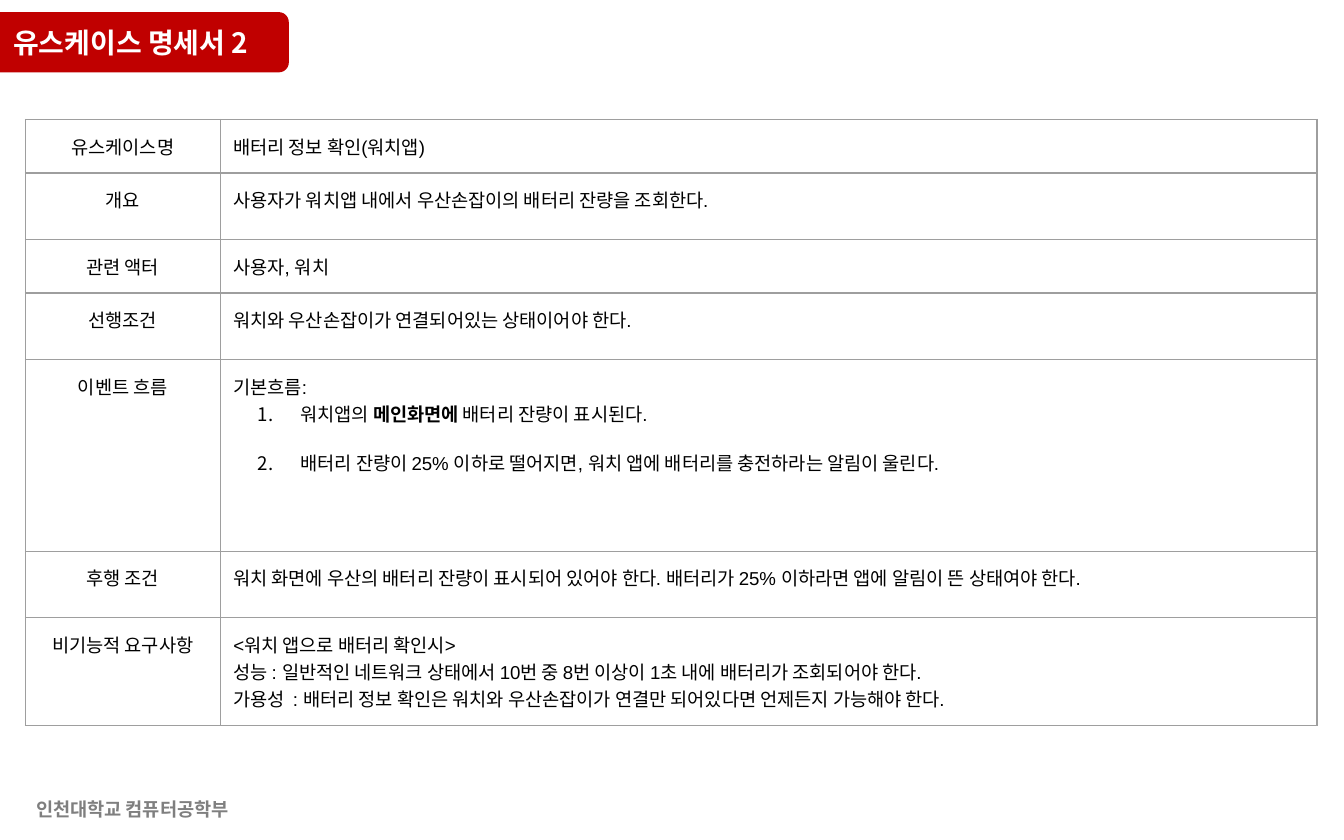
from lxml import etree
from pptx import Presentation
from pptx.dml.color import RGBColor
from pptx.enum import shapes, text
from pptx.oxml import ns
from pptx.util import Cm, Pt

TITLE = "유스케이스 명세서 2"
FOOTER = "인천대학교 컴퓨터공학부"
# Row label, height in cm, lines; a line is a string, a step is a list of (text, bold)
ROWS = [
    ("유스케이스명", 1.01, ["배터리 정보 확인(워치앱)"]),
    ("개요", 1.26, ["사용자가 워치앱 내에서 우산손잡이의 배터리 잔량을 조회한다."]),
    ("관련 액터", 1.01, ["사용자, 워치"]),
    ("선행조건", 1.26, ["워치와 우산손잡이가 연결되어있는 상태이어야 한다."]),
    ("이벤트 흐름", 3.62, [
        "기본흐름:",
        [("워치앱의 ", False), ("메인화면에 ", True), ("배터리 잔량이 표시된다.", False)],
        [("배터리 잔량이 25% 이하로 떨어지면, 워치 앱에 배터리를 충전하라는 알림이 울린다.", False)],
    ]),
    ("후행 조건", 1.26, [
        "워치 화면에 우산의 배터리 잔량이 표시되어 있어야 한다. "
        "배터리가 25% 이하라면 앱에 알림이 뜬 상태여야 한다."]),
    ("비기능적 요구사항", 2.03, [
        "<워치 앱으로 배터리 확인시>",
        "성능 : 일반적인 네트워크 상태에서 10번 중 8번 이상이 1초 내에 배터리가 조회되어야 한다.",
        "가용성  : 배터리 정보 확인은 워치와 우산손잡이가 연결만 되어있다면 언제든지 가능해야 한다.",
    ]),
]
COLS = (3.68, 20.73)
COLORS = {"red": "C00000", "white": "FFFFFF", "black": "000000",
          "gray": "7F7F7F", "rule": "9E9E9E"}
SANS, LATIN = "Noto Sans CJK KR", "Arial"
LEFT, CENTER = text.PP_ALIGN.LEFT, text.PP_ALIGN.CENTER


def rgb(name):
    return RGBColor.from_string(COLORS[name])


def sub(node, tag, **attrs):
    return etree.SubElement(node, ns.qn(tag), attrs)


def write(para, words, size=10, font=LATIN, color="black", bold=False, align=LEFT):
    para.alignment = align
    run = para.add_run()
    run.text = words
    face = run.font
    face.size, face.name, face.bold = Pt(size), font, bold
    face.color.rgb = rgb(color)
    sub(run._r.get_or_add_rPr(), "a:ea", typeface=SANS)


def label(slide, box, words, **style):
    frame = slide.shapes.add_textbox(*map(Cm, box)).text_frame
    frame.word_wrap = True
    frame.vertical_anchor = text.MSO_ANCHOR.MIDDLE
    write(frame.paragraphs[0], words, font=SANS, bold=True, **style)


def number(para):
    props = para._p.get_or_add_pPr()
    props.set("marL", str(Cm(1.27)))
    props.set("indent", str(Cm(-0.81)))
    sub(sub(props, "a:buClr"), "a:srgbClr", val=COLORS["black"])
    sub(props, "a:buFont", typeface=SANS)
    sub(props, "a:buAutoNum", type="arabicPeriod")


def style_cell(cell):
    cell.margin_left = cell.margin_right = Cm(0.25)
    cell.margin_top = cell.margin_bottom = Cm(0.25)
    props = cell._tc.get_or_add_tcPr()
    for side in "LRTB":
        line = sub(props, f"a:ln{side}", w=str(Pt(0.75)))
        sub(sub(line, "a:solidFill"), "a:srgbClr", val=COLORS["rule"])
    cell.fill.solid()
    cell.fill.fore_color.rgb = rgb("white")


def fill_cell(cell, lines, align=LEFT):
    style_cell(cell)
    frame = cell.text_frame
    steps = 0
    for i, line in enumerate(lines):
        para = frame.paragraphs[0] if i == 0 else frame.add_paragraph()
        if isinstance(line, str):
            write(para, line, align=align)
            continue
        if steps:
            para.space_before = Pt(12)
        number(para)
        steps += 1
        for words, bold in line:
            write(para, words, bold=bold)


def main():
    deck = Presentation()
    deck.slide_width, deck.slide_height = Cm(25.4), Cm(15.88)
    slide = deck.slides.add_slide(deck.slide_layouts[6])

    # Title band
    band = slide.shapes.add_shape(shapes.MSO_SHAPE.ROUNDED_RECTANGLE,
                                  Cm(-0.41), Cm(0.23), Cm(5.87), Cm(1.14))
    band.shadow.inherit = False
    band.fill.solid()
    band.fill.fore_color.rgb = rgb("red")
    band.line.fill.background()

    # Footer
    label(slide, (0, 14.96, 5, 0.69), FOOTER, color="gray", align=CENTER)

    # Use case table
    table = slide.shapes.add_table(
        len(ROWS), len(COLS), Cm(0.48), Cm(2.26),
        Cm(sum(COLS)), Cm(sum(row[1] for row in ROWS))).table
    table.first_row = table.horz_banding = False
    for col, width in zip(table.columns, COLS):
        col.width = Cm(width)
    for i, (name, height, lines) in enumerate(ROWS):
        table.rows[i].height = Cm(height)
        fill_cell(table.cell(i, 0), [name], align=CENTER)
        fill_cell(table.cell(i, 1), lines)

    # Title
    label(slide, (0, 0.23, 5.66, 1.14), TITLE, size=15, color="white")
    deck.save("out.pptx")


if __name__ == "__main__":
    main()
